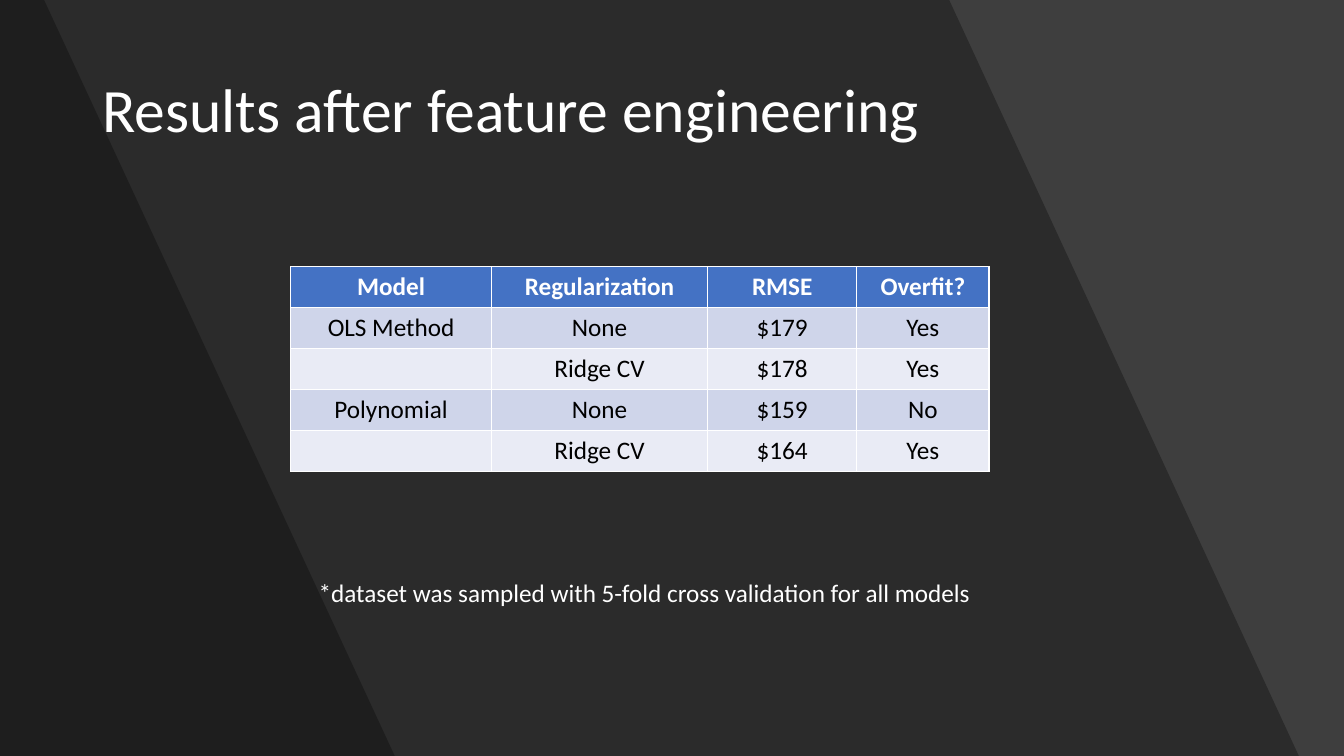
from lxml.etree import SubElement
from pptx import Presentation
from pptx.dml.color import RGBColor
from pptx.enum.text import MSO_ANCHOR, MSO_AUTO_SIZE, PP_ALIGN
from pptx.oxml.ns import qn
from pptx.util import Emu, Pt

PX = 9525
WIDTH, HEIGHT = 1280, 720
FONT = "Calibri"
COLORS = {
    "background": "454545",
    "shade": "000000",
    "light": "FFFFFF",
    "dark": "000000",
    "header": "4472C4",
    "odd": "CFD5EA",
    "even": "E9EBF5",
}
RESULTS = [
    ("Model", "Regularization", "RMSE", "Overfit?"),
    ("OLS Method", "None", "$179", "Yes"),
    ("", "Ridge CV", "$178", "Yes"),
    ("Polynomial", "None", "$159", "No"),
    ("", "Ridge CV", "$164", "Yes"),
]
COLUMN_WIDTHS = (191, 206, 142, 126)
ROW_HEIGHT = 39


def px(*lengths):
    return [Emu(length * PX) for length in lengths]


def color(name):
    return RGBColor.from_string(COLORS[name])


def paint(fill, name):
    fill.solid()
    fill.fore_color.rgb = color(name)


def style(para, size, name, align=PP_ALIGN.LEFT, bold=False):
    para.alignment = align
    font = para.font
    font.name, font.size, font.bold = FONT, Pt(size), bold
    font.color.rgb = color(name)


def add_shade(page, top_right, bottom_right, opacity):
    """Darken the page from its left edge to a straight, possibly slanted, right edge."""
    builder = page.shapes.build_freeform(0, 0, scale=PX)
    builder.add_line_segments([(top_right, 0), (bottom_right, HEIGHT), (0, HEIGHT)])
    shade = builder.convert_to_shape()
    shade.shadow.inherit = False
    shade.line.fill.background()
    paint(shade.fill, "shade")
    tint = shade.fill._xPr.find(".//" + qn("a:srgbClr"))
    SubElement(tint, qn("a:alpha"), val=str(opacity * 1000))


def add_backdrop(page):
    paint(page.background.fill, "background")
    add_shade(page, WIDTH, WIDTH, 9)
    add_shade(page, 904, 1237, 30)
    add_shade(page, 42, 376, 30)


def place_title(page, box, text):
    title = page.shapes.title
    title.element.getparent().append(title.element)  # bring in front of the shades
    title.left, title.top, title.width, title.height = px(*box)
    frame = title.text_frame
    frame.text = text
    frame.auto_size = MSO_AUTO_SIZE.NONE
    frame.vertical_anchor = MSO_ANCHOR.MIDDLE
    para = frame.paragraphs[0]
    para.line_spacing = 0.9
    style(para, 44, "light")


def add_results_table(page, left, top):
    box = px(left, top, sum(COLUMN_WIDTHS), ROW_HEIGHT * len(RESULTS))
    table = page.shapes.add_table(len(RESULTS), len(COLUMN_WIDTHS), *box).table
    for column, width in zip(table.columns, px(*COLUMN_WIDTHS)):
        column.width = width
    for index, values in enumerate(RESULTS):
        header = index == 0
        fill = "header" if header else ("even", "odd")[index % 2]
        for cell, value in zip(table.rows[index].cells, values):
            cell.text = value
            paint(cell.fill, fill)
            style(cell.text_frame.paragraphs[0], 18,
                  "light" if header else "dark", PP_ALIGN.CENTER, header)


def add_footnote(page, box, text):
    frame = page.shapes.add_textbox(*px(*box)).text_frame
    frame.word_wrap = True
    frame.auto_size = MSO_AUTO_SIZE.SHAPE_TO_FIT_TEXT
    frame.text = text
    style(frame.paragraphs[0], 18, "light")


def build_results_slide(deck):
    page = deck.slides.add_slide(deck.slide_layouts.get_by_name("Title Only"))
    add_backdrop(page)
    place_title(page, (88, 38, 1104, 139), "Results after feature engineering")
    add_results_table(page, 277, 254)
    add_footnote(page, (294, 545, 693, 38),
                 "*dataset was sampled with 5-fold cross validation for all models")


def main():
    deck = Presentation()
    deck.slide_width, deck.slide_height = px(WIDTH, HEIGHT)
    build_results_slide(deck)
    deck.save("out.pptx")


if __name__ == "__main__":
    main()
